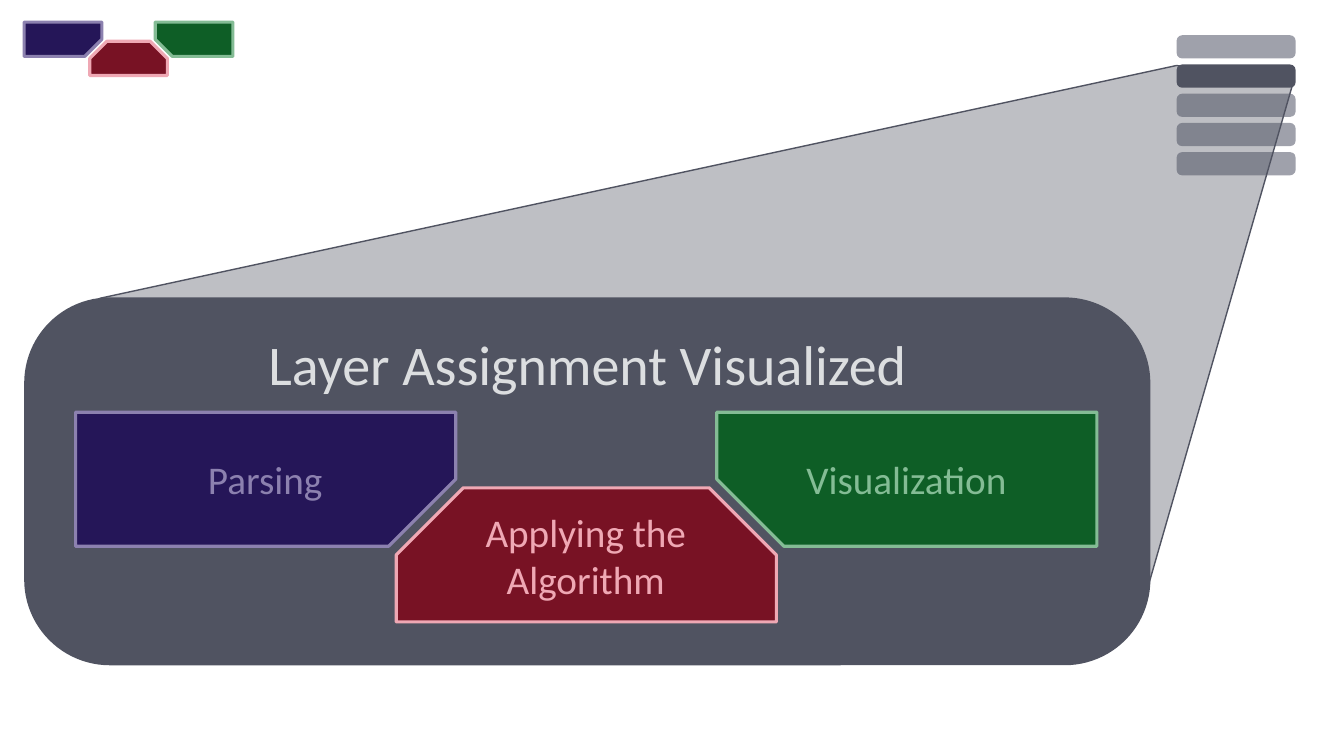
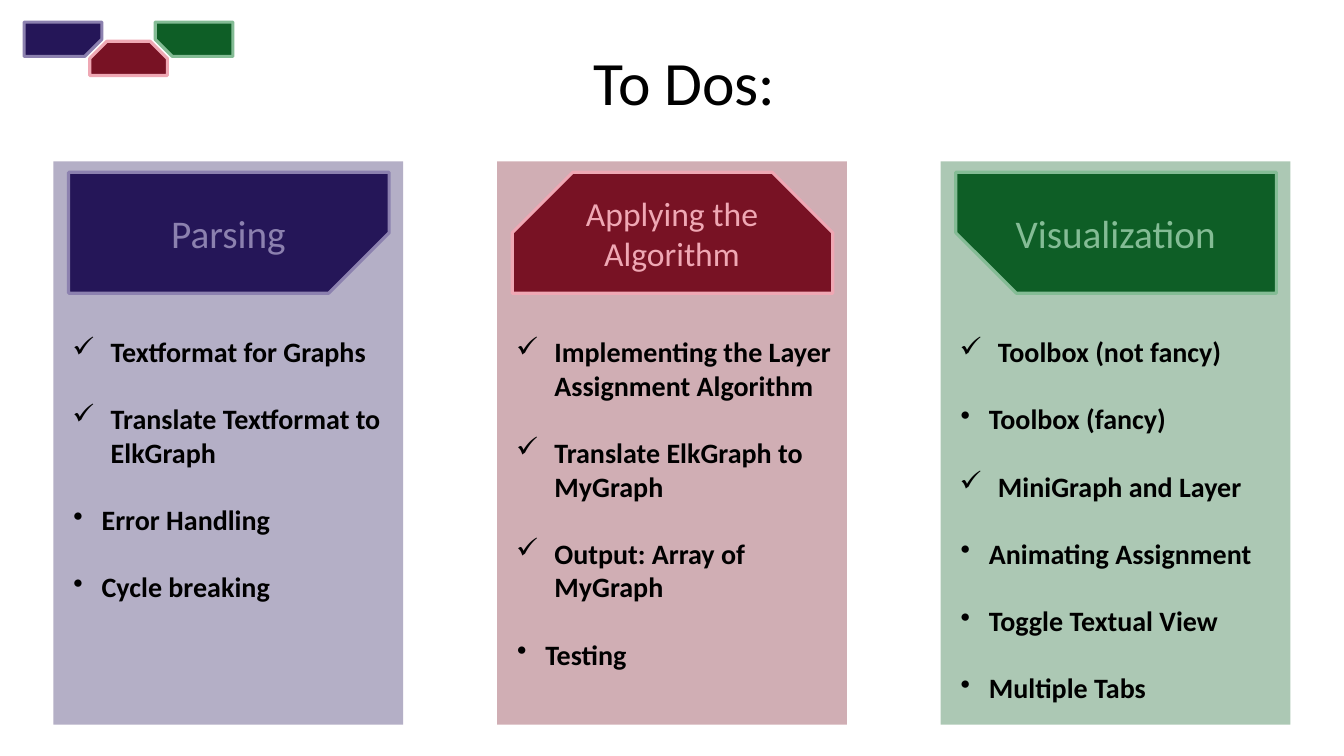
from collections import namedtuple

from lxml.etree import SubElement
from pptx import Presentation
from pptx.dml.color import RGBColor
from pptx.enum.shapes import MSO_SHAPE as SHAPE
from pptx.enum.text import MSO_ANCHOR as ANCHOR, PP_ALIGN as ALIGN
from pptx.oxml.ns import qn
from pptx.util import Pt

PX = 9144  # EMU per px, 100 px to the inch
FONT = "Calibri"
TITLE_ONLY = 5
COLORS = {
    "slate": "505361", "idle": "9FA1AB", "pale": "DCDEE0", "black": "000000",
    "violet": "251658", "violet_edge": "8C81AF",
    "red": "781224", "red_edge": "EFA8B4",
    "green": "0E5E26", "green_edge": "84BC95",
}

Box = namedtuple("Box", "left top width height")
Section = namedtuple("Section", "label color outline flips todo_size todos")

DONE, OPEN = "✓", "•"
BULLET_INDENTS = {DONE: (47, -38), OPEN: (38, -28)}
SECTIONS = [
    Section("Parsing", "violet", SHAPE.SNIP_1_RECTANGLE, ("flipV",), 28, [
        (DONE, "Textformat for Graphs"),
        (DONE, "Translate Textformat to ElkGraph"),
        (OPEN, "Error Handling"),
        (OPEN, "Cycle breaking"),
    ]),
    Section("Applying the Algorithm", "red", SHAPE.SNIP_2_SAME_RECTANGLE, (), 24, [
        (DONE, "Implementing the Layer Assignment Algorithm"),
        (DONE, "Translate ElkGraph to MyGraph"),
        (DONE, "Output: Array of MyGraph"),
        (OPEN, "Testing"),
    ]),
    Section("Visualization", "green", SHAPE.SNIP_1_RECTANGLE, ("flipH", "flipV"), 28, [
        (DONE, "Toolbox (not fancy)"),
        (OPEN, "Toolbox (fancy)"),
        (DONE, "MiniGraph and Layer"),
        (OPEN, "Animating Assignment"),
        (OPEN, "Toggle Textual View"),
        (OPEN, "Multiple Tabs"),
    ]),
]


def rgb(name):
    return RGBColor.from_string(COLORS[name])


def emu(box):
    return [value * PX for value in box]


def paint(shape, fill, edge=None, weight=2.25, opacity=None):
    """Fill and outline a shape, with opacity in percent."""
    shape.shadow.inherit = False
    shape.fill.solid()
    shape.fill.fore_color.rgb = rgb(fill)
    if opacity:
        color = shape.element.spPr.find(qn("a:solidFill"))[0]
        SubElement(color, qn("a:alpha"), val=str(opacity * 1000))
    if edge:
        shape.line.color.rgb = rgb(edge)
        shape.line.width = Pt(weight)
    else:
        shape.line.fill.background()


def add_block(shapes, preset, box, fill, adjust=None, **look):
    block = shapes.add_shape(preset, *emu(box))
    if adjust is not None:
        block.adjustments[0] = adjust
    paint(block, fill, **look)
    return block


def write(paragraph, text, size, color, bold=False, align=ALIGN.CENTER, before=0):
    paragraph.alignment = align
    paragraph.space_before = Pt(before)
    run = paragraph.add_run()
    run.text = text
    font = run.font
    font.name, font.size, font.bold = FONT, Pt(size), bold
    font.color.rgb = rgb(color)


def add_title(slide, box, text, size, color):
    title = slide.shapes.title
    title.left, title.top, title.width, title.height = emu(box)
    frame = title.text_frame
    frame.word_wrap = True
    frame.vertical_anchor = ANCHOR.MIDDLE
    write(frame.paragraphs[0], text, size, color)
    slide.shapes.element.append(title.element)  # bring to front


def add_card(shapes, section, box, label_size=None):
    """A snipped block, with an upright label when a size is given."""
    edge = section.color + "_edge"
    card = add_block(shapes, section.outline, box, section.color, 0.5, edge=edge)
    for flip in section.flips:
        card.element.spPr.xfrm.set(flip, "1")
    if label_size:
        width = round(box.width * 0.69)
        inset = (box.width - width) // 2
        label = shapes.add_textbox(*emu((box.left + inset, box.top, width, box.height)))
        frame = label.text_frame
        frame.word_wrap = True
        frame.vertical_anchor = ANCHOR.MIDDLE
        write(frame.paragraphs[0], section.label, label_size, edge)


def add_trio(slide, first, step, drop, label_size=None):
    """The three sections side by side, the middle one lower."""
    group = slide.shapes.add_group_shape()
    for i, section in enumerate(SECTIONS):
        box = first._replace(left=first.left + i * step, top=first.top + i % 2 * drop)
        add_card(group.shapes, section, box, label_size)


def add_corner_icon(slide):
    add_trio(slide, Box(24, 22, 77, 34), step=65, drop=19)


def add_beam(slide, source, panel):
    """The translucent beam from the active bar to the panel."""
    source_right = source.left + source.width
    panel_right = panel.left + panel.width
    outline = slide.shapes.build_freeform(source.left, source.top + 1, scale=PX)
    outline.add_line_segments([
        (panel.left + 75, panel.top + 1),
        (panel_right - 2, panel.top + 286),
        (source_right - 3, source.top + 20),
    ], close=True)
    paint(outline.convert_to_shape(), "slate", edge="slate", weight=1, opacity=37)


def add_layer_bars(slide, first, panel, count=5, active=1, step=29):
    bars = [first._replace(top=first.top + i * step) for i in range(count)]
    for i, bar in enumerate(bars):
        if i != active:
            add_block(slide.shapes, SHAPE.ROUNDED_RECTANGLE, bar, "idle", 0.233)
    add_beam(slide, bars[active], panel)
    add_block(slide.shapes, SHAPE.ROUNDED_RECTANGLE, bars[active], "slate", 0.233)


def add_todo_column(slide, section, box):
    column = add_block(slide.shapes, SHAPE.RECTANGLE, box, section.color, opacity=34)
    frame = column.text_frame
    frame.word_wrap = True
    frame.vertical_anchor = ANCHOR.TOP
    frame.margin_top = 172 * PX
    for i, (mark, todo) in enumerate(section.todos):
        paragraph = frame.add_paragraph() if i else frame.paragraphs[0]
        write(paragraph, todo, 20, "black", bold=True, align=ALIGN.LEFT,
              before=24 if i else 0)
        margin, indent = BULLET_INDENTS[mark]
        properties = paragraph._p.get_or_add_pPr()
        properties.set("marL", str(margin * PX))
        properties.set("indent", str(indent * PX))
        SubElement(properties, qn("a:buChar"), char=mark)
    # Heading card
    group = slide.shapes.add_group_shape()
    card = Box(box.left + 15, box.top + 11, box.width - 29, 120)
    add_card(group.shapes, section, card, section.todo_size)


def build_overview(slide):
    panel = Box(24, 295, 1117, 365)
    add_layer_bars(slide, Box(1167, 35, 118, 23), panel)
    add_block(slide.shapes, SHAPE.ROUNDED_RECTANGLE, panel, "slate", 0.233)
    add_title(slide, Box(panel.left, panel.top + 31, panel.width, 68),
              "Layer Assignment Visualized", 40, "pale")
    add_trio(slide, Box(panel.left + 51, panel.top + 114, 377, 133),
             step=318, drop=75, label_size=28)
    add_corner_icon(slide)


def build_todos(slide):
    add_corner_icon(slide)
    add_title(slide, Box(367, 38, 624, 84), "To Dos:", 44, "black")
    for i, section in enumerate(SECTIONS):
        add_todo_column(slide, section, Box(53 + i * 440, 160, 347, 559))


def main():
    deck = Presentation()
    deck.slide_width, deck.slide_height = 1333 * PX, 750 * PX
    for build in (build_overview, build_todos):
        build(deck.slides.add_slide(deck.slide_layouts[TITLE_ONLY]))
    deck.save("out.pptx")


if __name__ == "__main__":
    main()
